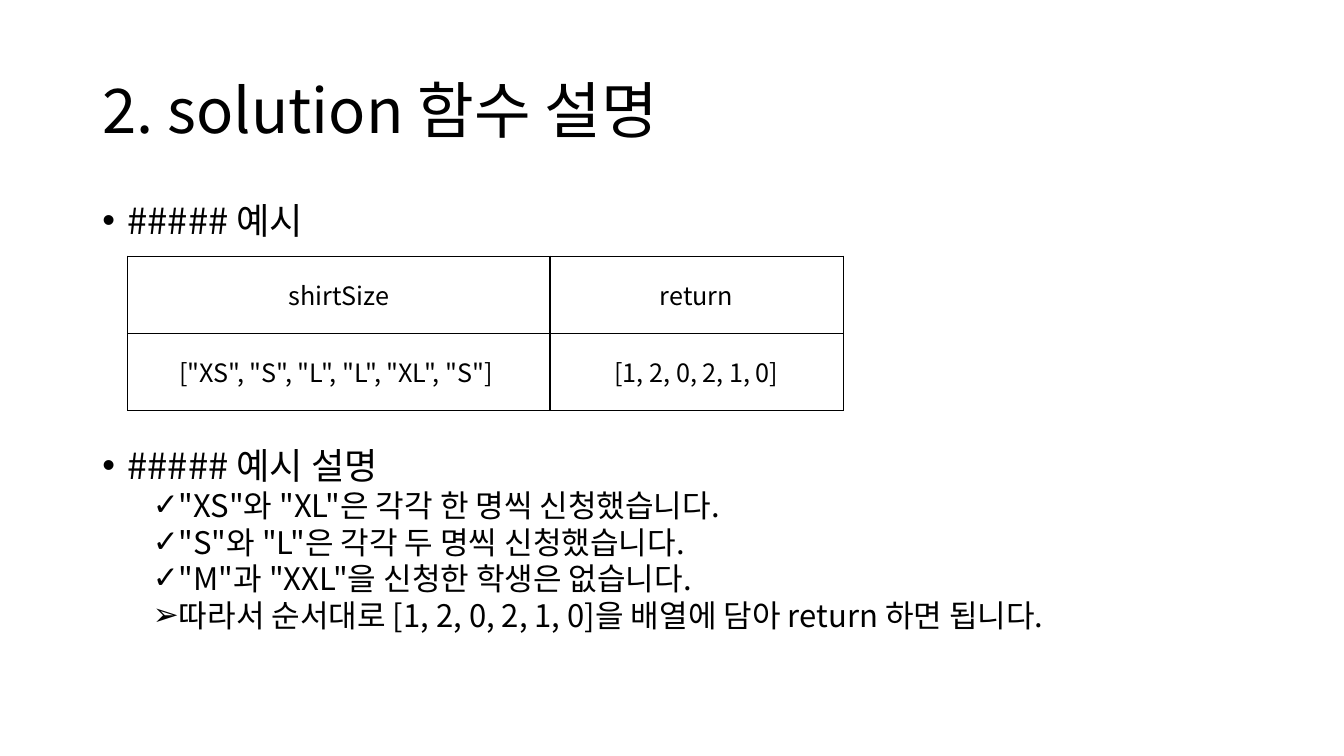
"""Build the slide that explains the solution function with a worked example."""
from dataclasses import dataclass

import lxml.etree
import pptx
import pptx.dml.color
import pptx.enum.text
import pptx.oxml.ns
import pptx.util

Pt = pptx.util.Pt
FONT = "Noto Sans CJK KR"
BLACK = "000000"
WHITE = "FFFFFF"
COLUMN_WIDTHS = (301.5, 209.5)
ROW_HEIGHT = 55


@dataclass(frozen=True)
class ListLevel:
    depth: int
    size: float
    margin: float


@dataclass(frozen=True)
class ListItem:
    words: str
    bullet: str
    level: ListLevel
    space_before: float


HEADING = ListLevel(0, 25.9, 18)
DETAIL = ListLevel(1, 22.2, 54)
ITEMS = (
    ListItem("##### 예시", "•", HEADING, 10),
    ListItem("##### 예시 설명", "•", HEADING, 150),
    ListItem('"XS"와 "XL"은 각각 한 명씩 신청했습니다.', "✓", DETAIL, 5),
    ListItem('"S"와 "L"은 각각 두 명씩 신청했습니다.', "✓", DETAIL, 5),
    ListItem('"M"과 "XXL"을 신청한 학생은 없습니다.', "✓", DETAIL, 5),
    ListItem("따라서 순서대로 [1, 2, 0, 2, 1, 0]을 배열에 담아 return 하면 됩니다.", "➢", DETAIL, 5),
)
EXAMPLE = (
    ("shirtSize", "return"),
    ('["XS", "S", "L", "L", "XL", "S"] ', "[1, 2, 0, 2, 1, 0]"),
)


def color(code: str) -> pptx.dml.color.RGBColor:
    return pptx.dml.color.RGBColor.from_string(code)


def add_child(parent, tag: str, **attributes: str):
    return lxml.etree.SubElement(parent, pptx.oxml.ns.qn(tag), attributes)


def add_span(para, words: str, size: float) -> None:
    span = para.add_run()
    span.text = words
    span.font.size = Pt(size)
    span.font.name = FONT
    span.font.color.rgb = color(BLACK)
    add_child(span.font._element, "a:ea", typeface=FONT)


def place(box, left: float, top: float, width: float, height: float) -> None:
    box.left, box.top = Pt(left), Pt(top)
    box.width, box.height = Pt(width), Pt(height)
    box.text_frame.word_wrap = True
    box.text_frame.auto_size = pptx.enum.text.MSO_AUTO_SIZE.NONE


def draw_title(box) -> None:
    place(box, 66, 28.75, 828, 104.4)
    box.text_frame.vertical_anchor = pptx.enum.text.MSO_ANCHOR.MIDDLE
    para = box.text_frame.paragraphs[0]
    para.alignment = pptx.enum.text.PP_ALIGN.LEFT
    para.line_spacing = 0.9
    add_span(para, "2. solution 함수 설명", 44)


def draw_list(box) -> None:
    place(box, 66, 144, 828, 342.6)
    for index, item in enumerate(ITEMS):
        para = box.text_frame.add_paragraph() if index else box.text_frame.paragraphs[0]
        para.level = item.level.depth
        para.line_spacing = 0.8
        para.space_before = Pt(item.space_before)
        properties = para._p.get_or_add_pPr()
        properties.set("marL", str(Pt(item.level.margin)))
        properties.set("indent", str(Pt(-18)))
        add_child(properties, "a:buChar", char=item.bullet)
        add_span(para, item.words, item.level.size)


def add_borders(cell) -> None:
    properties = cell._tc.get_or_add_tcPr()
    for side in ("a:lnL", "a:lnR", "a:lnT", "a:lnB"):
        line = add_child(properties, side, w=str(Pt(1)))
        add_child(add_child(line, "a:solidFill"), "a:srgbClr", val=BLACK)


def draw_example(page) -> None:
    frame = page.shapes.add_table(
        len(EXAMPLE), len(COLUMN_WIDTHS), Pt(91.3), Pt(183),
        Pt(sum(COLUMN_WIDTHS)), Pt(ROW_HEIGHT * len(EXAMPLE)))
    table = frame.table
    for column, width in zip(table.columns, COLUMN_WIDTHS):
        column.width = Pt(width)
    for row, texts in zip(table.rows, EXAMPLE):
        row.height = Pt(ROW_HEIGHT)
        for cell, words in zip(row.cells, texts):
            add_borders(cell)
            cell.fill.solid()
            cell.fill.fore_color.rgb = color(WHITE)
            cell.vertical_anchor = pptx.enum.text.MSO_ANCHOR.MIDDLE
            para = cell.text_frame.paragraphs[0]
            para.alignment = pptx.enum.text.PP_ALIGN.CENTER
            add_span(para, words, 18)


def main() -> None:
    deck = pptx.Presentation()
    deck.slide_width, deck.slide_height = Pt(960), Pt(540)
    page = deck.slides.add_slide(deck.slide_layouts[1])
    draw_title(page.shapes.title)
    draw_list(page.placeholders[1])
    draw_example(page)
    deck.save("out.pptx")


if __name__ == "__main__":
    main()
